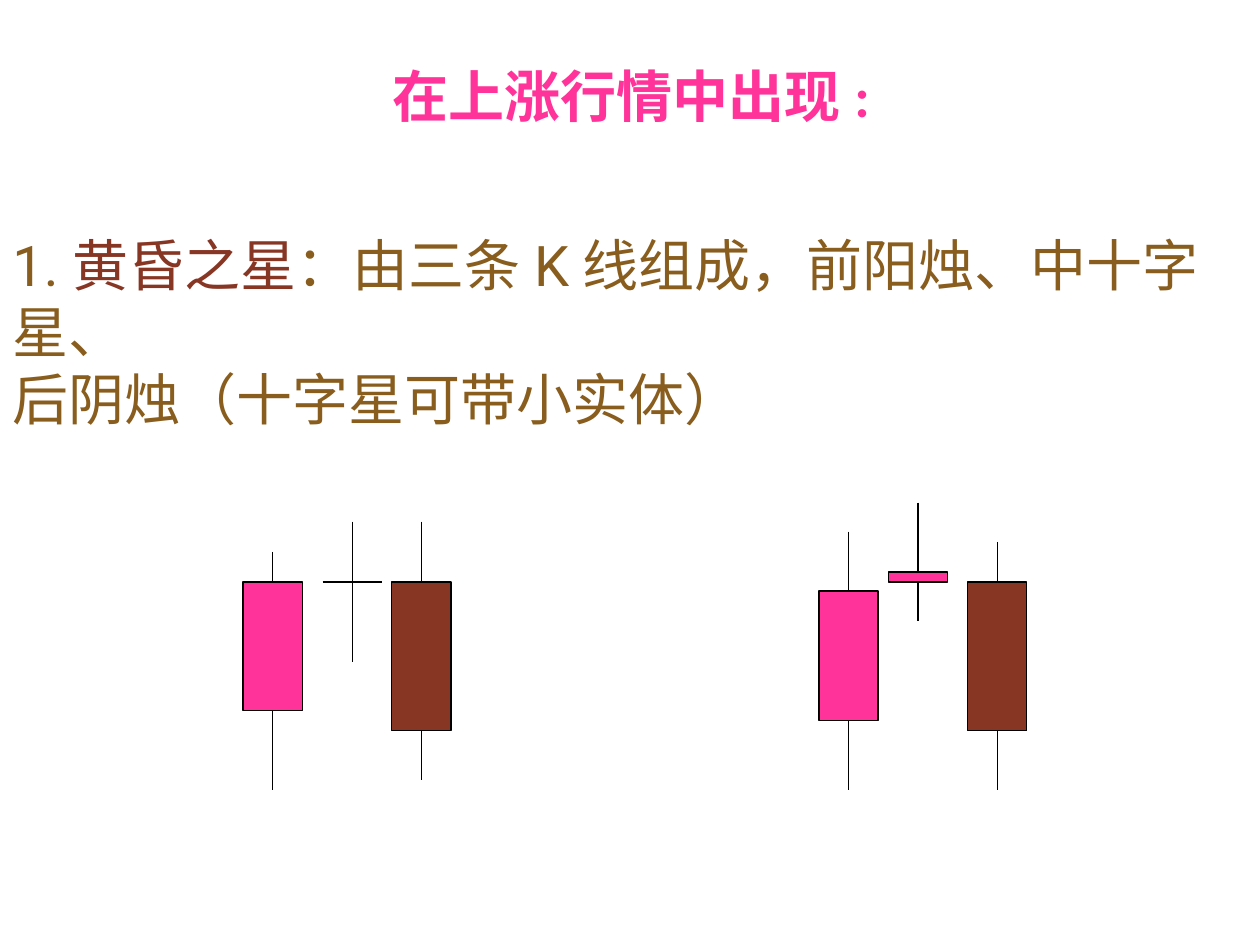
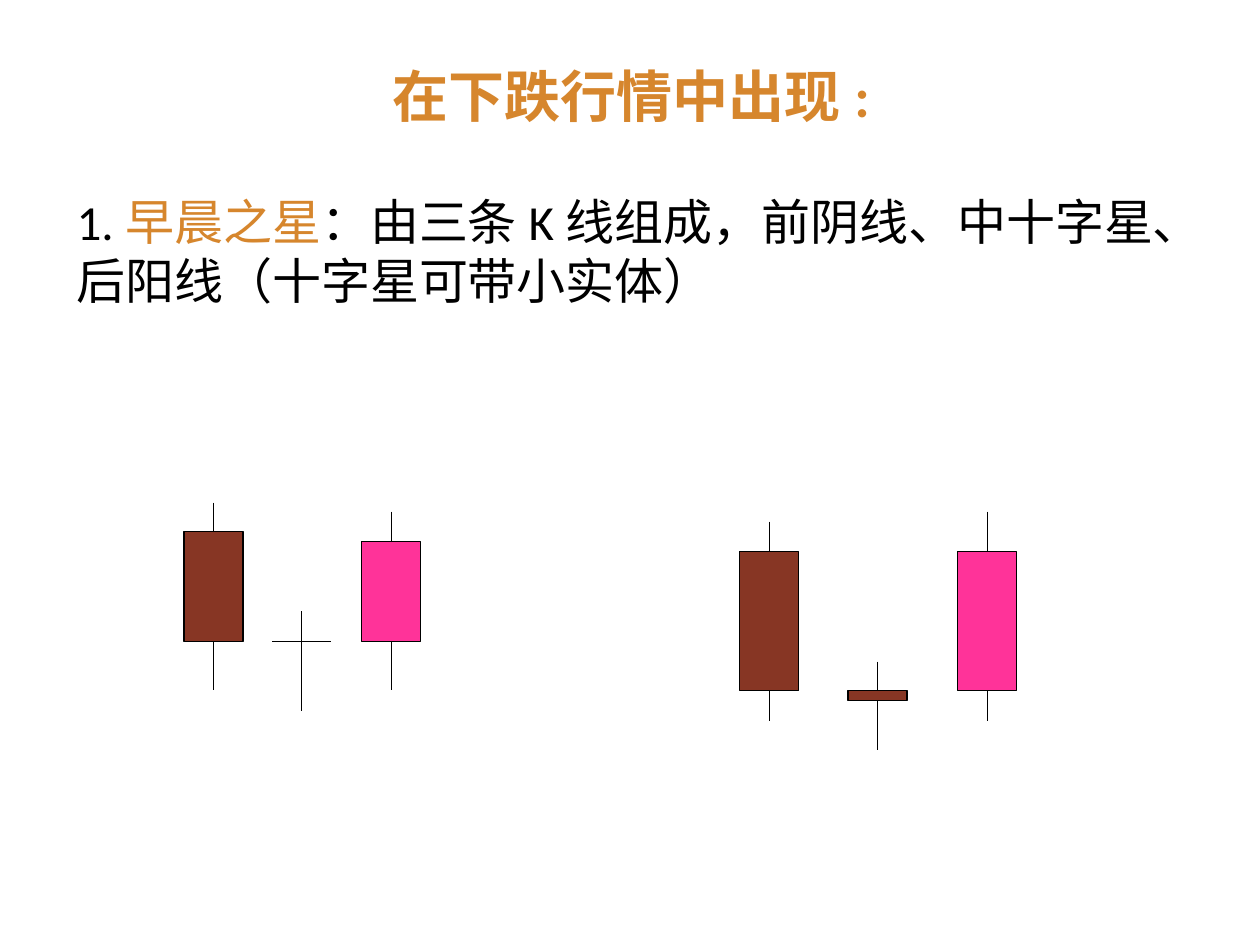
from dataclasses import dataclass

from lxml import etree
from pptx import Presentation
from pptx.dml.color import RGBColor
from pptx.enum.lang import MSO_LANGUAGE_ID
from pptx.enum.shapes import MSO_CONNECTOR, MSO_SHAPE
from pptx.enum.text import MSO_ANCHOR, PP_ALIGN
from pptx.oxml.ns import qn
from pptx.util import Inches, Pt

RECT = MSO_SHAPE.RECTANGLE
STRAIGHT = MSO_CONNECTOR.STRAIGHT
TOP, MIDDLE = MSO_ANCHOR.TOP, MSO_ANCHOR.MIDDLE
LEFT, CENTER = PP_ALIGN.LEFT, PP_ALIGN.CENTER
CHINESE = MSO_LANGUAGE_ID.SIMPLIFIED_CHINESE
TOP_SITE, BOTTOM_SITE = 0, 2


@dataclass(frozen=True)
class Theme:
    pink: RGBColor = RGBColor(0xFF, 0x33, 0x99)
    brown: RGBColor = RGBColor(0x87, 0x36, 0x24)
    ochre: RGBColor = RGBColor(0x89, 0x5D, 0x1D)
    orange: RGBColor = RGBColor(0xD6, 0x86, 0x2D)
    black: RGBColor = RGBColor(0, 0, 0)
    font: str = "Calibri"
    alt_font: str = "Roboto"
    large: int = 32
    medium: int = 28
    line: float = 0.75
    candle_width: float = 0.47


THEME = Theme()
TITLE_BOX = (0.51, 0, 9, 1.51)


def add_text(slide, box, paragraphs, font, size, bold=False,
             align=LEFT, anchor=TOP, space_before=0):
    """Each paragraph is a list of (text, colour) runs."""
    tf = slide.shapes.add_textbox(*map(Inches, box)).text_frame
    tf.word_wrap = True
    tf.vertical_anchor = anchor
    for i, runs in enumerate(paragraphs):
        p = tf.add_paragraph() if i else tf.paragraphs[0]
        p.alignment = align
        p.space_before = Pt(space_before)
        for text, color in runs:
            r = p.add_run()
            r.text = text
            r.font.name = font
            r.font.size = Pt(size)
            r.font.bold = bold
            r.font.color.rgb = color
            r.font.language_id = CHINESE


def add_title(slide, text, color):
    add_text(slide, TITLE_BOX, [[(text, color)]], THEME.font, THEME.large,
             bold=True, align=CENTER, anchor=MIDDLE)


def add_line(slide, x1, y1, x2, y2):
    line = slide.shapes.add_connector(STRAIGHT, *map(Inches, (x1, y1, x2, y2)))
    line.line.color.rgb = THEME.black
    line.line.width = Pt(THEME.line)
    etree.SubElement(line._element.spPr, qn("a:effectLst"))
    return line


def add_doji(slide, x, high, level, low):
    middle = x + THEME.candle_width / 2
    add_line(slide, x, level, x + THEME.candle_width, level)
    add_line(slide, middle, high, middle, low)


def add_candle(slide, x, high, top, bottom, low, color):
    width = THEME.candle_width
    middle = x + width / 2
    body = slide.shapes.add_shape(
        RECT, *map(Inches, (x, top, width, bottom - top)))
    body.shadow.inherit = False
    body.fill.solid()
    body.fill.fore_color.rgb = color
    body.line.color.rgb = THEME.black
    body.line.width = Pt(THEME.line)
    add_line(slide, middle, high, middle, top).end_connect(body, TOP_SITE)
    add_line(slide, middle, bottom, middle, low).begin_connect(body, BOTTOM_SITE)


def add_pattern(slide, left, top, candles):
    """Candles are (offset, high, body top, body bottom, low, colour) from the
    pattern's corner; a body without height is a doji."""
    for dx, *levels, color in candles:
        high, body_top, body_bottom, low = (top + y for y in levels)
        if body_top == body_bottom:
            add_doji(slide, left + dx, high, body_top, low)
        else:
            add_candle(slide, left + dx, high, body_top, body_bottom, low, color)


def build_evening_star(slide):
    pink, brown, ochre = THEME.pink, THEME.brown, THEME.ochre
    add_title(slide, "在上涨行情中出现:", pink)
    add_pattern(slide, 6.5, 3.99, [
        (0, 0.23, 0.7, 1.73, 2.28, pink),
        (0.55, 0, 0.55, 0.63, 0.94, pink),
        (1.18, 0.31, 0.63, 1.81, 2.28, brown),
    ])
    add_pattern(slide, 1.93, 4.14, [
        (0, 0.24, 0.48, 1.5, 2.13, pink),
        (0.63, 0, 0.48, 0.48, 1.11, None),
        (1.18, 0, 0.48, 1.66, 2.05, brown),
    ])
    add_text(slide, (0, 1.78, 10, 2.24), [
        [("1.", ochre), ("黄昏之星", brown),
         ("：由三条K线组成，前阳烛、中十字星、", ochre)],
        [("后阴烛（十字星可带小实体）", ochre)],
    ], THEME.alt_font, THEME.large)


def build_morning_star(slide):
    pink, brown, orange = THEME.pink, THEME.brown, THEME.orange
    add_title(slide, "在下跌行情中出现:", orange)
    add_text(slide, (0.51, 1.47, 9, 4.5), [
        [("1.", THEME.black), ("早晨之星", orange),
         ("：由三条K线组成，前阴线、中十字星、后阳线（十字星可带小实体）",
          THEME.black)],
    ], THEME.font, THEME.medium, space_before=7)
    add_pattern(slide, 1.46, 3.99, [
        (0, 0, 0.23, 1.1, 1.49, brown),
        (0.7, 0.86, 1.1, 1.1, 1.65, None),
        (1.41, 0.07, 0.31, 1.1, 1.49, pink),
    ])
    add_pattern(slide, 5.87, 4.06, [
        (0, 0.08, 0.32, 1.42, 1.66, brown),
        (0.86, 1.19, 1.42, 1.5, 1.89, brown),
        (1.73, 0, 0.32, 1.42, 1.66, pink),
    ])


def main():
    prs = Presentation()
    prs.slide_width, prs.slide_height = Inches(10), Inches(7.5)
    blank = prs.slide_layouts[6]
    for build in (build_evening_star, build_morning_star):
        build(prs.slides.add_slide(blank))
    prs.save("out.pptx")


if __name__ == "__main__":
    main()
